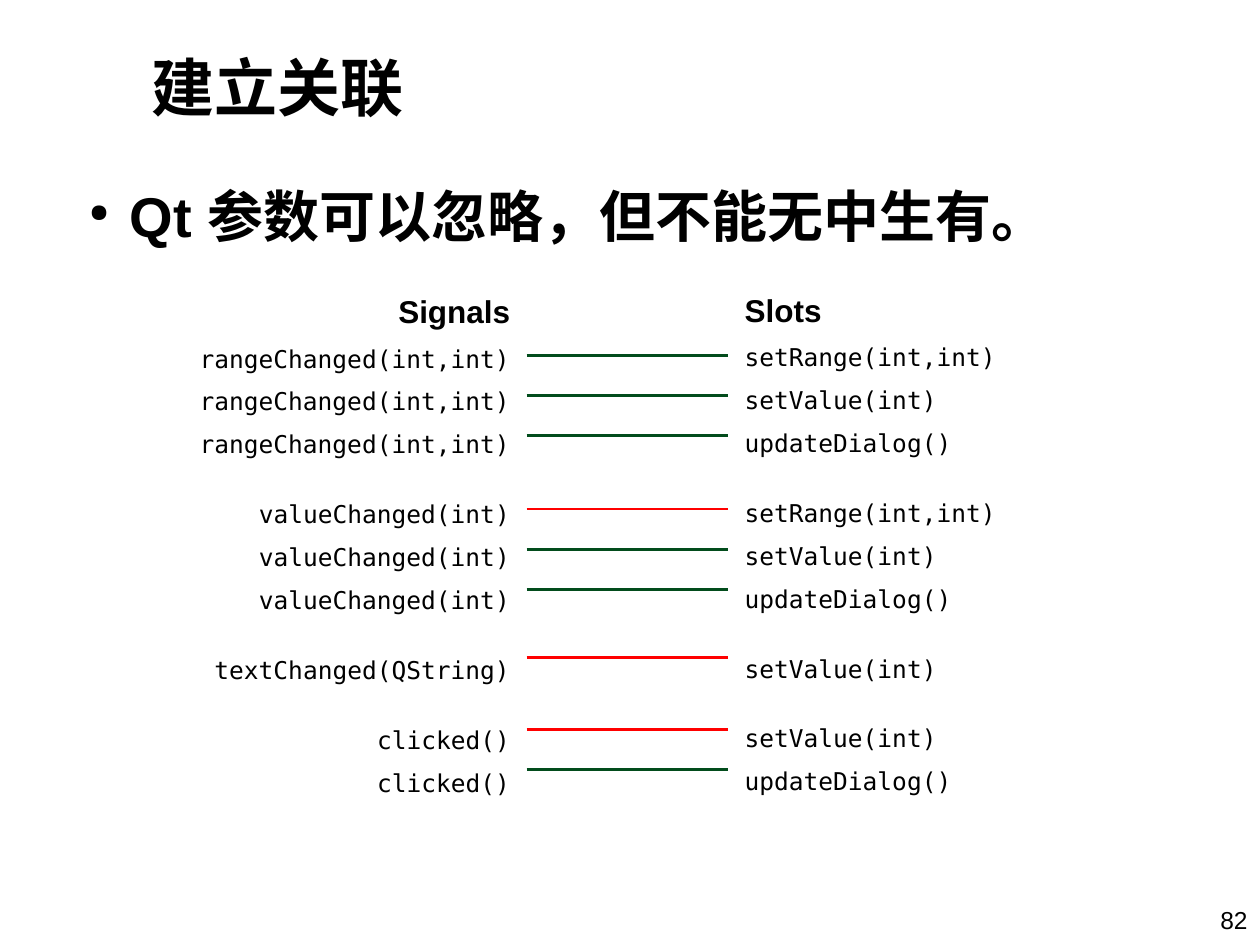
"""Build the slide on which signals may be connected to which slots."""
import pptx
import pptx.util
import pptx.dml.color
import pptx.enum.shapes
import pptx.enum.text
import pptx.oxml.ns
from lxml import etree

Inches, Pt = pptx.util.Inches, pptx.util.Pt
ALIGN = pptx.enum.text.PP_ALIGN
ANCHOR = pptx.enum.text.MSO_ANCHOR
qn = pptx.oxml.ns.qn

COLORS = {"text": "000000", "valid": "024C1C", "invalid": "FF0000"}
SANS, MONO = "Arial", "DejaVu Sans Mono"
TITLE = "建立关联"
RULE = "Qt 参数可以忽略，但不能无中生有。"
PAGE = "82"
HEADINGS = ("Signals", "Slots")
GROUPS = [
    (2.82, "rangeChanged(int,int)",
     [("setRange(int,int)", "valid"), ("setValue(int)", "valid"), ("updateDialog()", "valid")]),
    (4.04, "valueChanged(int)",
     [("setRange(int,int)", "invalid"), ("setValue(int)", "valid"), ("updateDialog()", "valid")]),
    (5.22, "textChanged(QString)", [("setValue(int)", "invalid")]),
    (5.79, "clicked()", [("setValue(int)", "invalid"), ("updateDialog()", "valid")]),
]
LINE_LEFT, LINE_RIGHT, LINE_STEP = 4.18, 5.78, 0.32
ROW_SPACING, GROUP_GAP = 1.46, 15.4


def rgb(name):
    return pptx.dml.color.RGBColor.from_string(COLORS[name])


def write(p, text, size, font=SANS, bold=False, align=ALIGN.LEFT):
    p.alignment = align
    r = p.add_run()
    r.text = text
    r.font.size, r.font.name, r.font.bold = Pt(size), font, bold
    r.font.color.rgb = rgb("text")


def add_box(s, left, top, width, height, insets=(0.1, 0.05, 0.1, 0.05)):
    tf = s.shapes.add_textbox(*map(Inches, (left, top, width, height))).text_frame
    tf.word_wrap = True
    tf.margin_left, tf.margin_top, tf.margin_right, tf.margin_bottom = map(Inches, insets)
    return tf


def add_title(s):
    sp = s.shapes.title
    sp.left, sp.top, sp.width, sp.height = map(Inches, (1.1, 0.06, 6.5, 1.25))
    sp.text_frame.vertical_anchor = ANCHOR.MIDDLE
    write(sp.text_frame.paragraphs[0], TITLE, 36, bold=True)


def add_rule(s):
    p = add_box(s, 0.5, 1.39, 9, 1.1).paragraphs[0]
    pPr = p._p.get_or_add_pPr()
    pPr.set("marL", str(Inches(0.43)))
    pPr.set("indent", str(Inches(-0.32)))
    etree.SubElement(pPr, qn("a:buSzPct")).set("val", "45000")
    etree.SubElement(pPr, qn("a:buChar")).set("char", "●")
    write(p, RULE, 32, bold=True)


def add_column(s, left, top, heading, groups, align):
    tf = add_box(s, left, top, 3.57, 4, (0.09, 0.06, 0.09, 0.04))
    write(tf.paragraphs[0], heading, 18, bold=True, align=align)
    for g, names in enumerate(groups):
        for i, name in enumerate(names):
            p = tf.add_paragraph()
            p.line_spacing = ROW_SPACING
            p.space_before = Pt(GROUP_GAP if g and not i else 0)
            write(p, name, 14, MONO, align=align)


def add_link(s, y, status):
    line = s.shapes.add_connector(
        pptx.enum.shapes.MSO_CONNECTOR.STRAIGHT,
        *map(Inches, (LINE_LEFT, y, LINE_RIGHT, y)))
    line.line.color.rgb = rgb(status)
    line.line.width = Pt(1.7)
    etree.SubElement(line._element.spPr, qn("a:effectLst"))


def main():
    prs = pptx.Presentation()
    prs.slide_width, prs.slide_height = Inches(10), Inches(7.5)
    s = prs.slides.add_slide(prs.slide_layouts[5])
    add_title(s)
    add_rule(s)
    signals = [[signal] * len(slots) for _, signal, slots in GROUPS]
    targets = [[slot for slot, _ in slots] for _, _, slots in GROUPS]
    add_column(s, 0.57, 2.26, HEADINGS[0], signals, ALIGN.RIGHT)
    add_column(s, 5.82, 2.25, HEADINGS[1], targets, ALIGN.LEFT)
    for top, _, slots in GROUPS:
        for i, (_, status) in enumerate(slots):
            add_link(s, top + i * LINE_STEP, status)
    write(add_box(s, 8.39, 7.13, 1.61, 0.37).paragraphs[0], PAGE, 14, align=ALIGN.RIGHT)
    prs.save("out.pptx")


if __name__ == "__main__":
    main()
